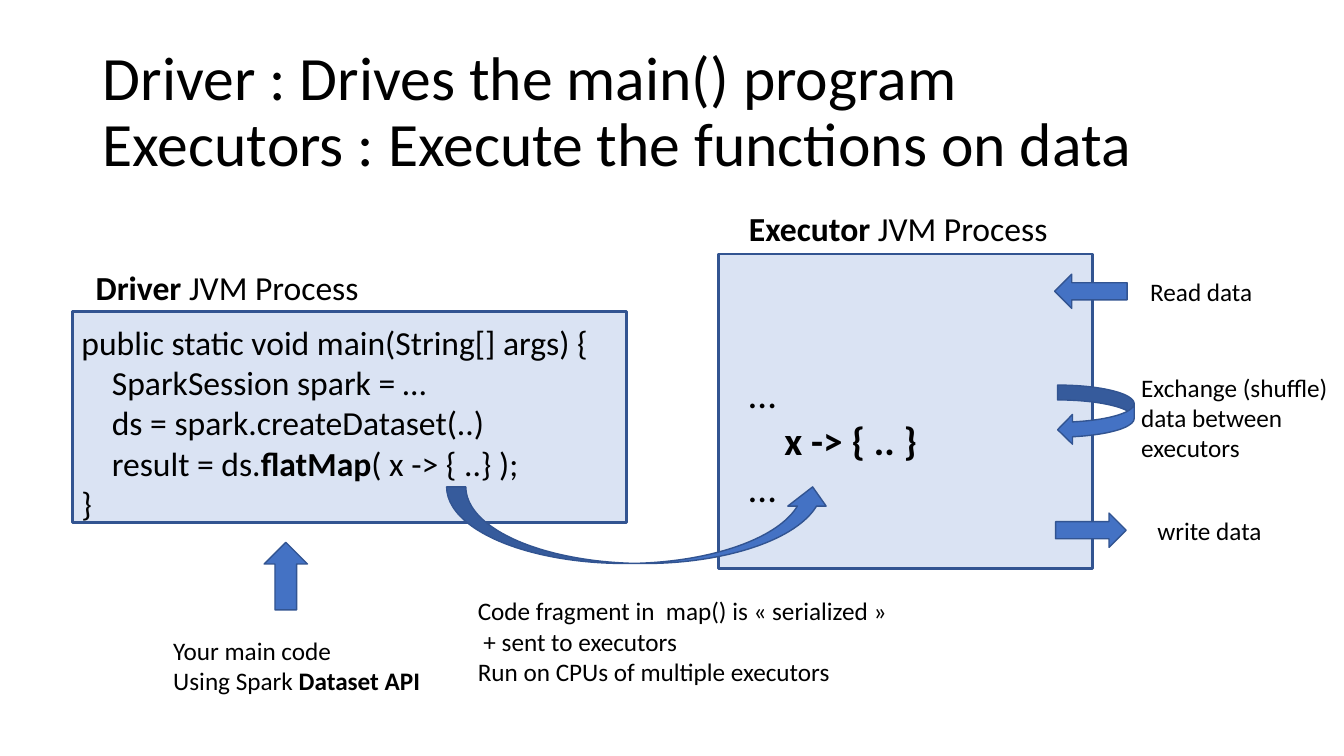
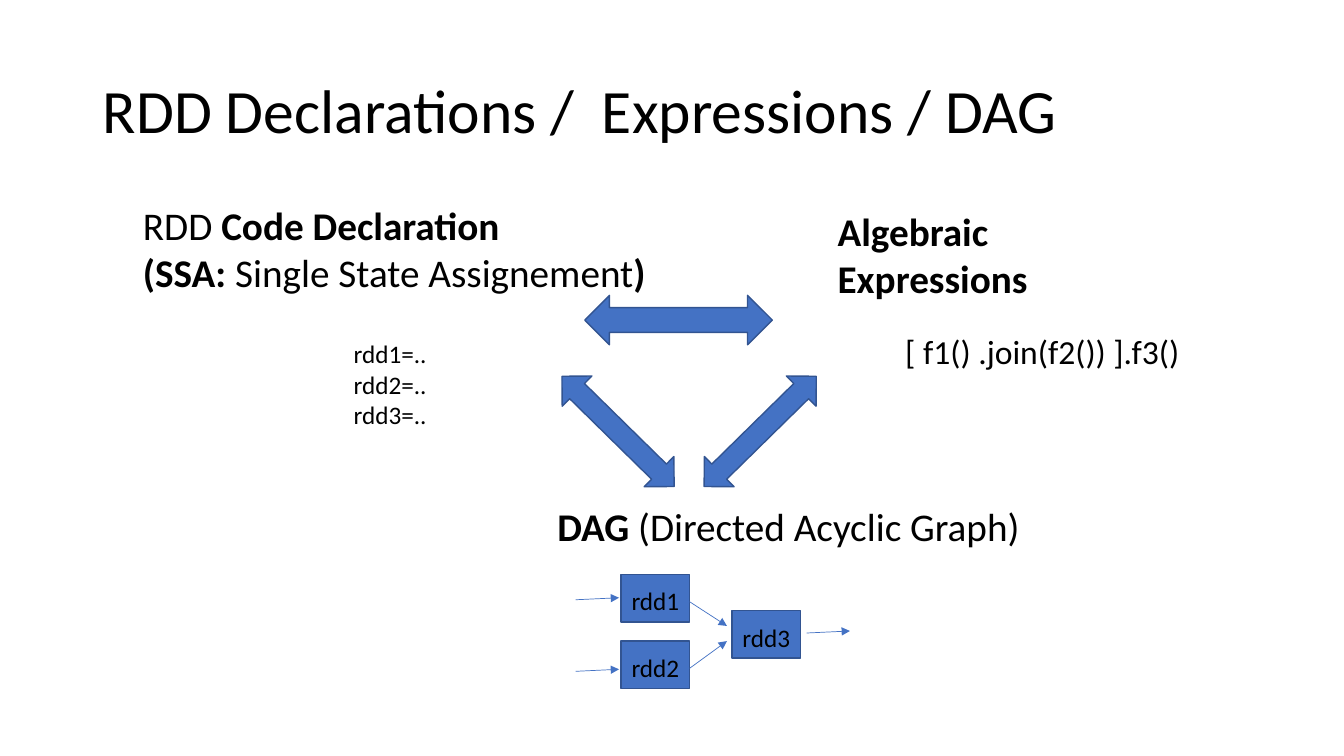
from dataclasses import dataclass

import pptx
import pptx.dml.color
import pptx.enum.shapes
import pptx.enum.text
import pptx.oxml
import pptx.oxml.ns
import pptx.util

Inches = pptx.util.Inches
Pt = pptx.util.Pt
Kind = pptx.enum.shapes.MSO_SHAPE
Fit = pptx.enum.text.MSO_AUTO_SIZE
Anchor = pptx.enum.text.MSO_ANCHOR
Align = pptx.enum.text.PP_ALIGN


def rgb(code: str) -> pptx.dml.color.RGBColor:
    return pptx.dml.color.RGBColor.from_string(code)


@dataclass(frozen=True)
class Theme:
    font: str = "Calibri"
    ink: str = "000000"
    blue: str = "4472C4"
    edge: str = "325491"
    pale: str = "DAE3F3"
    title: int = 44
    large: int = 28
    medium: int = 24
    small: int = 18


THEME = Theme()


@dataclass(frozen=True)
class Box:
    left: float
    top: float
    width: float
    height: float

    def place(self) -> tuple:
        return tuple(Inches(n) for n in (self.left, self.top, self.width, self.height))


@dataclass(frozen=True)
class Label:
    box: Box
    size: int
    lines: tuple
    wrap: bool = False


@dataclass(frozen=True)
class Arrow:
    box: Box
    kind: Kind
    turn: float = 0
    flip: bool = False


@dataclass(frozen=True)
class Link:
    start: tuple
    end: tuple


def style(para, size: int) -> None:
    para.font.name = THEME.font
    para.font.size = Pt(size)
    para.font.color.rgb = rgb(THEME.ink)


def write(frame, lines: tuple, size: int) -> None:
    for row, line in enumerate(lines):
        para = frame.paragraphs[0] if row == 0 else frame.add_paragraph()
        style(para, size)
        for part, text in enumerate(line.split("*")):
            if not text:
                continue
            for step, piece in enumerate(text.split("\n")):
                if step:
                    para.add_line_break()
                run = para.add_run()
                run.text = piece
                if part % 2:
                    run.font.bold = True


def add_title(slide, text: str) -> None:
    shape = slide.shapes.title
    shape.left, shape.top, shape.width, shape.height = Box(0.92, 0.4, 11.5, 1.45).place()
    frame = shape.text_frame
    frame.word_wrap = True
    frame.auto_size = Fit.NONE
    frame.vertical_anchor = Anchor.MIDDLE
    write(frame, (text,), THEME.title)
    para = frame.paragraphs[0]
    para.alignment = Align.LEFT
    para.line_spacing = 0.9


def add_label(slide, label: Label) -> None:
    frame = slide.shapes.add_textbox(*label.box.place()).text_frame
    frame.word_wrap = label.wrap
    frame.auto_size = Fit.SHAPE_TO_FIT_TEXT
    write(frame, label.lines, label.size)


def add_shape(slide, box: Box, kind: Kind, fill: str, line: float):
    shape = slide.shapes.add_shape(kind, *box.place())
    shape.shadow.inherit = False
    shape.fill.solid()
    shape.fill.fore_color.rgb = rgb(fill)
    shape.line.color.rgb = rgb(THEME.edge)
    shape.line.width = Pt(line)
    return shape


def add_arrow(slide, arrow: Arrow) -> None:
    shape = add_shape(slide, arrow.box, arrow.kind, THEME.blue, 1)
    shape.rotation = arrow.turn
    if arrow.flip:
        shape._element.spPr.find(pptx.oxml.ns.qn("a:xfrm")).set("flipH", "1")


def add_node(slide, box: Box, name: str) -> None:
    frame = add_shape(slide, box, Kind.RECTANGLE, THEME.blue, 1).text_frame
    frame.word_wrap = False
    frame.vertical_anchor = Anchor.MIDDLE
    frame.margin_top = Inches(0.1)
    write(frame, (name,), THEME.small)
    frame.paragraphs[0].alignment = Align.CENTER


def add_link(slide, link: Link) -> None:
    ends = [Inches(n) for n in link.start + link.end]
    line = slide.shapes.add_connector(pptx.enum.shapes.MSO_CONNECTOR.STRAIGHT, *ends)
    line.line.color.rgb = rgb(THEME.blue)
    line.line.width = Pt(0.5)
    props = line._element.spPr
    space = pptx.oxml.ns.nsdecls("a")
    stroke = props.find(pptx.oxml.ns.qn("a:ln"))
    stroke.append(pptx.oxml.parse_xml(f'<a:tailEnd {space} type="triangle"/>'))
    props.append(pptx.oxml.parse_xml(f"<a:effectLst {space}/>"))


PANELS = (Box(0.72, 3.09, 5.49, 2.09), Box(7.13, 2.52, 3.71, 3.12))

JVM_TEXT = (
    Label(Box(0.85, 2.6, 3.96, 0.5), THEME.medium, ("*Driver* JVM Process",), True),
    Label(Box(0.71, 3.14, 5.4, 2.12), THEME.medium, (
        "public static void main(String[] args) {",
        "    SparkSession spark = …",
        "    ds = spark.createDataset(..)",
        "    result = ds.*flatMap*( x -> { ..} );",
        "}",
    ), True),
    Label(Box(1.62, 6.25, 2.67, 0.71), THEME.small,
          ("Your main code", "Using Spark *Dataset API*")),
    Label(Box(7.33, 2.01, 3.96, 0.5), THEME.medium, ("*Executor* JVM Process",), True),
    Label(Box(7.33, 3.61, 2.25, 1.51), THEME.large,
          ("…", "    *x -> { .. }*", "…"), True),
    Label(Box(4.64, 5.86, 4.31, 1.01), THEME.small, (
        "Code fragment in  map() is « serialized »",
        " + sent to executors",
        "Run on CPUs of multiple executors",
    )),
    Label(Box(11.31, 2.69, 1.23, 0.4), THEME.small, ("Read data",)),
    Label(Box(11.38, 5.06, 1.25, 0.4), THEME.small, ("write data",)),
    Label(Box(11.22, 3.64, 2.08, 1.01), THEME.small,
          ("Exchange (shuffle)", "data between", "executors")),
)

JVM_FLOW = (
    Arrow(Box(2.5, 5.5, 0.67, 0.43), Kind.RIGHT_ARROW, 270),
    Arrow(Box(5.96, 3.3, 0.76, 3.82), Kind.CURVED_RIGHT_ARROW, 270),
    Arrow(Box(10.46, 2.72, 0.72, 0.34), Kind.RIGHT_ARROW, flip=True),
    Arrow(Box(10.47, 5.09, 0.7, 0.34), Kind.RIGHT_ARROW),
    Arrow(Box(10.49, 3.82, 0.76, 0.59), Kind.CURVED_RIGHT_ARROW, flip=True),
)

RDD_TEXT = (
    Label(Box(8.21, 2.01, 2.1, 1.04), THEME.large, ("*Algebraic*", "*Expressions*")),
    Label(Box(5.43, 4.93, 4.92, 0.57), THEME.large, ("*DAG* (Directed Acyclic Graph)",)),
    Label(Box(1.32, 1.95, 5.34, 1.04), THEME.large,
          ("RDD *Code Declaration*", "*(SSA: *Single State Assignement*)*")),
    Label(Box(8.88, 3.23, 2.94, 0.5), THEME.medium, ("[ f1() .join(f2()) ].f3()",)),
    Label(Box(3.41, 3.31, 1.53, 1.31), THEME.small, ("rdd1=..", "rdd2=..\nrdd3=.."), True),
)

RDD_FLOW = (
    Arrow(Box(5.8, 2.93, 1.86, 0.49), Kind.LEFT_RIGHT_ARROW),
    Arrow(Box(5.35, 4.07, 1.56, 0.42), Kind.LEFT_RIGHT_ARROW, 44.5),
    Arrow(Box(6.76, 4.07, 1.56, 0.42), Kind.LEFT_RIGHT_ARROW, 315.5, True),
)

NODES = {"rdd1": (6.16, 5.7), "rdd2": (6.16, 6.36), "rdd3": (7.26, 6.06)}

LINKS = (
    Link((6.84, 5.97), (7.21, 6.21)),
    Link((6.84, 6.63), (7.21, 6.36)),
    Link((8, 6.28), (8.43, 6.26)),
    Link((5.71, 5.95), (6.14, 5.93)),
    Link((5.71, 6.66), (6.14, 6.64)),
)


def start(deck, title: str):
    slide = deck.slides.add_slide(deck.slide_layouts.get_by_name("Title Only"))
    add_title(slide, title)
    return slide


def fill(slide, labels: tuple, arrows: tuple) -> None:
    for label in labels:
        add_label(slide, label)
    for arrow in arrows:
        add_arrow(slide, arrow)


def main() -> None:
    deck = pptx.Presentation()
    deck.slide_width = Inches(13.33)
    deck.slide_height = Inches(7.5)

    slide = start(deck, "Driver : Drives the main() program\n"
                        "Executors : Execute the functions on data")
    for box in PANELS:
        add_shape(slide, box, Kind.RECTANGLE, THEME.pale, 2)
    fill(slide, JVM_TEXT, JVM_FLOW)

    slide = start(deck, "RDD Declarations /  Expressions / DAG")
    fill(slide, RDD_TEXT, RDD_FLOW)
    for name, (left, top) in NODES.items():
        add_node(slide, Box(left, top, 0.68, 0.47), name)
    for link in LINKS:
        add_link(slide, link)

    deck.save("out.pptx")


if __name__ == "__main__":
    main()
